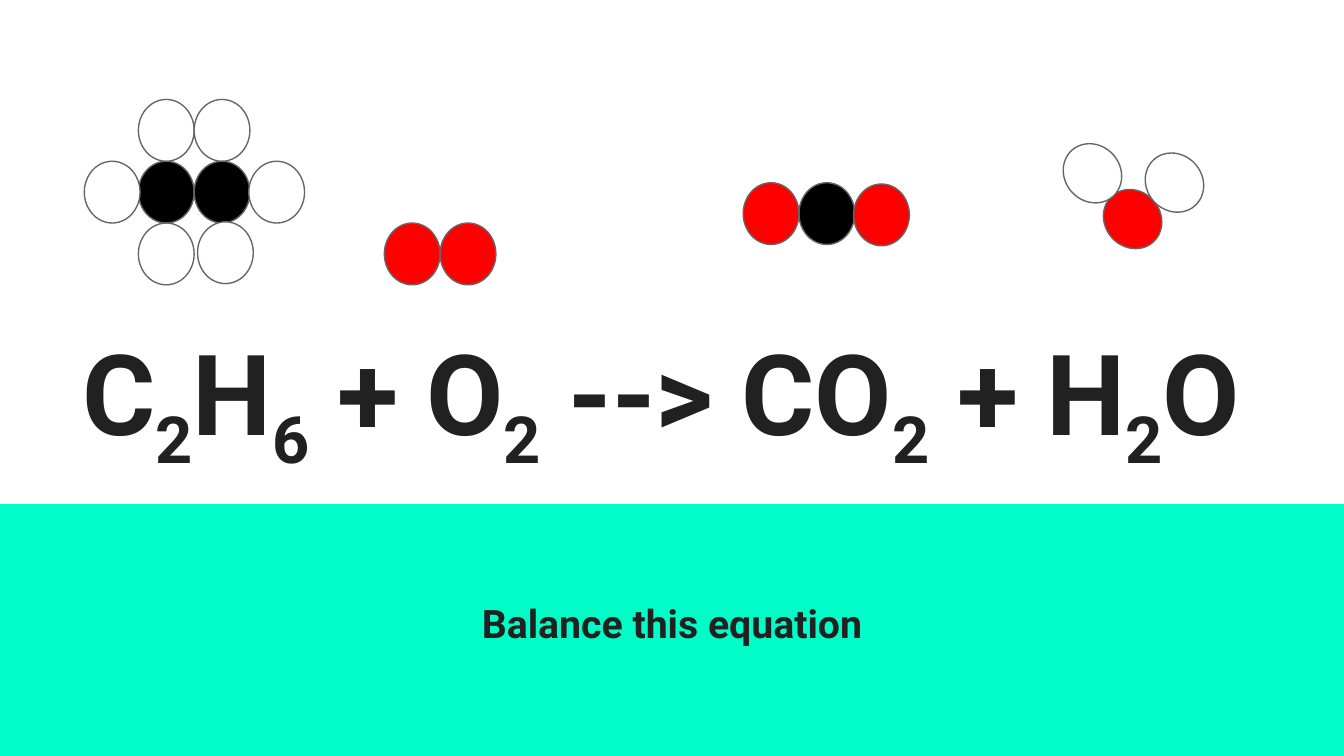
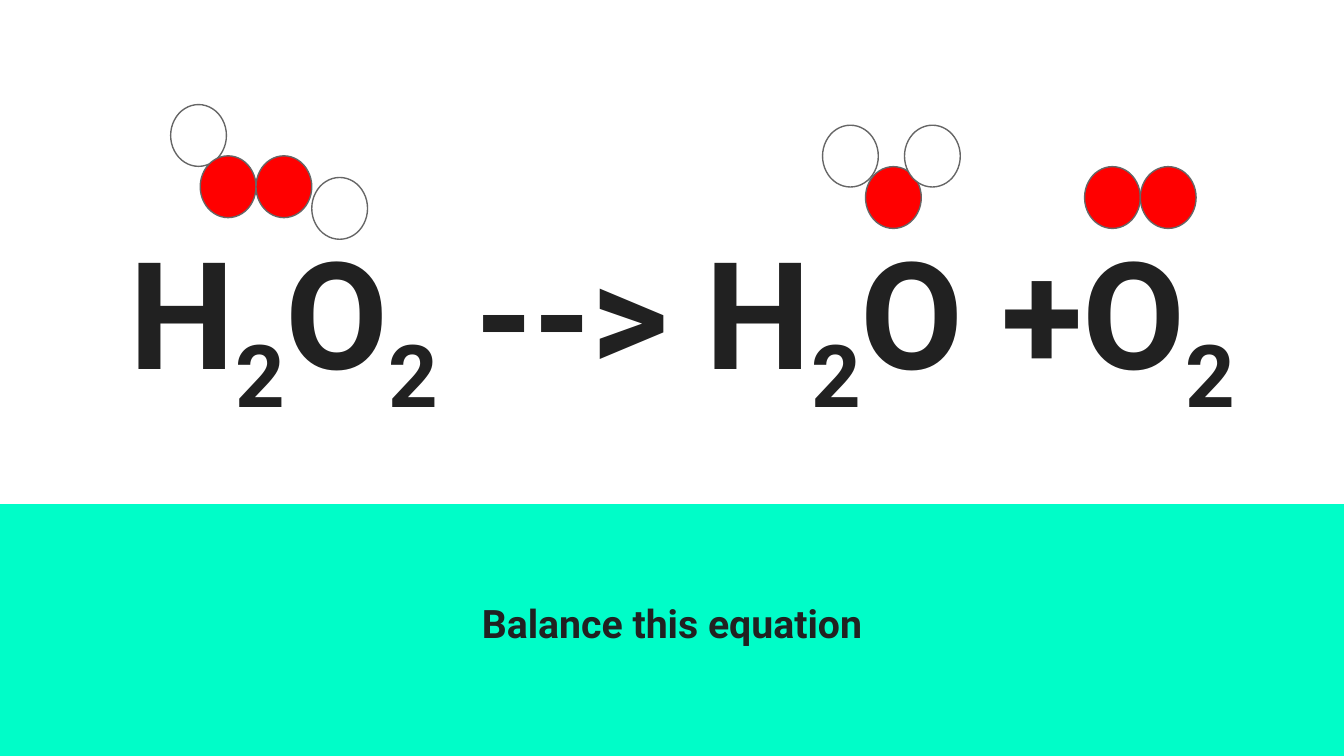
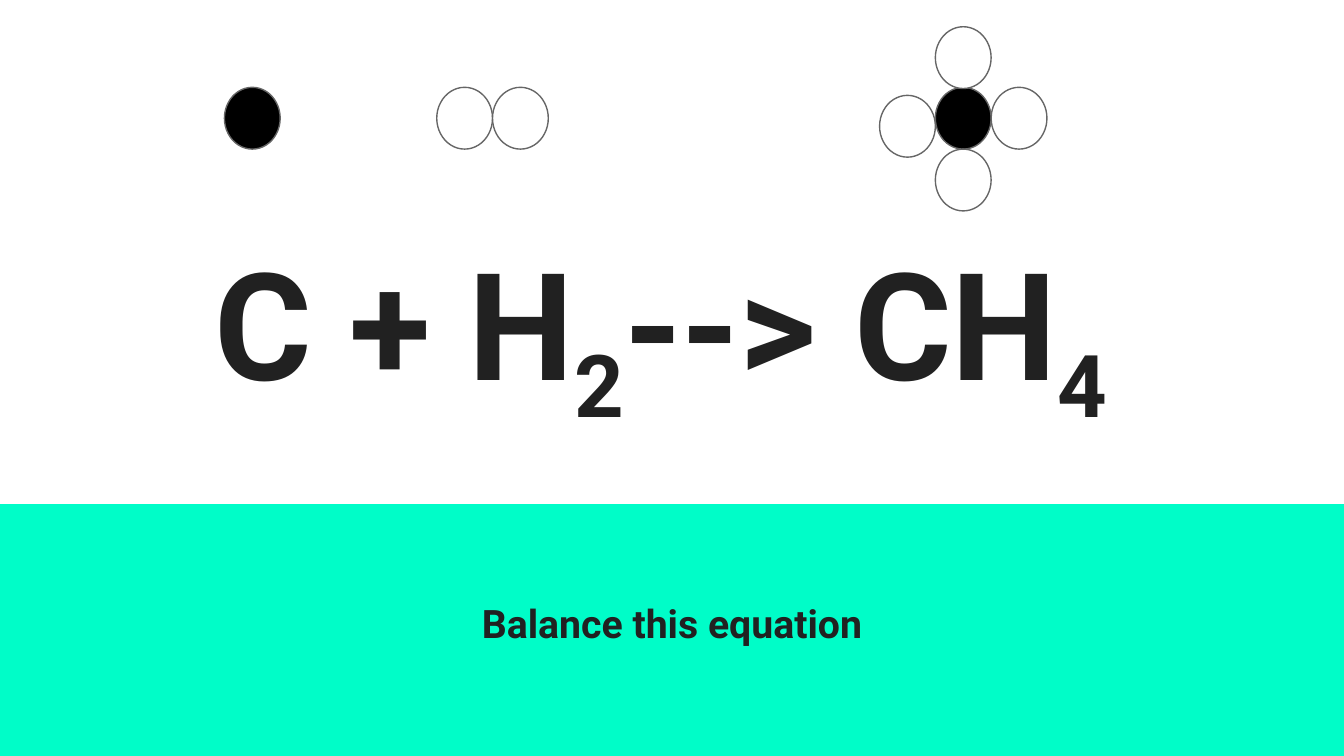
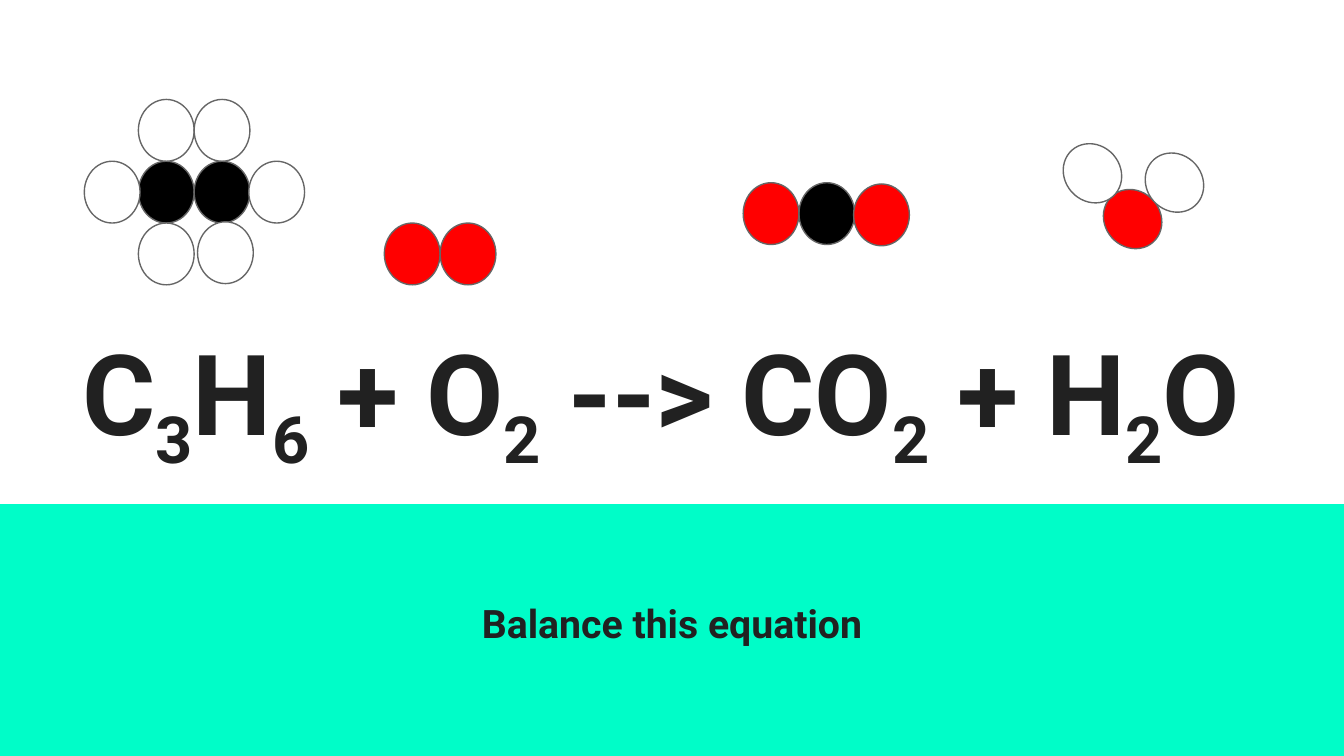
from itertools import groupby

from pptx import Presentation
from pptx.dml.color import RGBColor
from pptx.enum.shapes import MSO_SHAPE
from pptx.enum.text import MSO_ANCHOR, PP_ALIGN
from pptx.util import Inches, Pt

COLORS = {
    "background": "00FDC8",
    "band": "FFFFFF",
    "ink": "212121",
    "outline": "666666",
    "C": "000000",
    "H": "FFFFFF",
    "O": "FF0000",
}
FONT = "Roboto"
PROMPT = "Balance this equation"

# The slide is a grid of 100 columns by 56.25 rows
CELL = Inches(0.1)
COLUMNS, ROWS = 100, 56.25
ATOM_WIDTH, ATOM_HEIGHT = 4.15, 4.6

# Atoms of each molecule: element, then steps right and down in atom sizes
ETHANE = [("C", 0, 0), ("C", 1, 0), ("H", 0, -1), ("H", 1, -1), ("H", 1.98, 0),
          ("H", 1.06, 0.98), ("H", -0.97, 0), ("H", 0, 1)]
OXYGEN = [("O", 0, 0), ("O", 1, 0)]
HYDROGEN = [("H", 0, 0), ("H", 1, 0)]
CARBON = [("C", 0, 0)]
CARBON_DIOXIDE = [("C", 1, 0), ("O", 0, 0), ("O", 1.98, 0.02)]
WATER = [("O", 0, 0), ("H", -0.77, -0.67), ("H", 0.7, -0.67)]
TILTED_WATER = [("O", 0, 0), ("H", 0.75, -0.59), ("H", -0.72, -0.74)]
PEROXIDE = [("H", 2, 0.35), ("H", -0.53, -0.83), ("O", 0, 0), ("O", 1, 0)]
METHANE = [("C", 0, 0), ("H", 0, 1), ("H", -1, 0.13), ("H", 1, 0), ("H", 0, -0.98)]

# Molecules on a slide: atoms, column and row of the atom at step 0, rotation
COMBUSTION = [
    (OXYGEN, 28.6, 16.6, 0),
    (ETHANE, 10.3, 12, 0),
    (CARBON_DIOXIDE, 55.3, 13.6, 0),
    (TILTED_WATER, 82.2, 14, 318.5),
]
DECOMPOSITION = [
    (PEROXIDE, 14.9, 11.6, 0),
    (OXYGEN, 80.7, 12.4, 0),
    (WATER, 64.4, 12.4, 0),
]
SYNTHESIS = [
    (CARBON, 16.7, 6.5, 0),
    (HYDROGEN, 32.5, 6.5, 0),
    (METHANE, 69.6, 6.5, 0),
]

# Slides: equation, its size, its box in columns and rows, molecules
LOW_BOX = (2.6, 23.6, 93.2, 12.3)
EXERCISES = [
    ("C2H6 + O2 --> CO2 + H2O", 60, LOW_BOX, COMBUSTION),
    ("H2O2 --> H2O +O2", 80, (4.2, 9.3, 93.2, 29.4), DECOMPOSITION),
    ("C + H2--> CH4", 80, (2.6, 10.1, 93.2, 29.4), SYNTHESIS),
    ("C3H6 + O2 --> CO2 + H2O", 60, LOW_BOX, COMBUSTION),
]


def cells(*lengths):
    return [round(length * CELL) for length in lengths]


def color(name):
    return RGBColor.from_string(COLORS[name])


def write(paragraph, text, size, subscripts=False):
    """Write text in the shared style; digits may be lowered as subscripts."""
    paragraph.alignment = PP_ALIGN.CENTER
    for is_number, letters in groupby(text, key=str.isdigit):
        run = paragraph.add_run()
        run.text = "".join(letters)
        run.font.name = FONT
        run.font.size = Pt(size)
        run.font.bold = True
        run.font.color.rgb = color("ink")
        if subscripts and is_number:
            run.font._element.set("baseline", "-25000")


class Deck:
    def __init__(self):
        self.presentation = Presentation()
        self.presentation.slide_width, self.presentation.slide_height = cells(COLUMNS, ROWS)
        self.slide = None

    def add_slide(self):
        blank = self.presentation.slide_layouts[6]
        self.slide = self.presentation.slides.add_slide(blank)
        fill = self.slide.background.fill
        fill.solid()
        fill.fore_color.rgb = color("background")
        self.shape(self.slide.shapes, MSO_SHAPE.RECTANGLE, "band",
                   (0, 0, COLUMNS, ROWS * 2 / 3))

    def shape(self, parent, preset, fill, box, outline=None):
        shape = parent.add_shape(preset, *cells(*box))
        shape.shadow.inherit = False
        shape.fill.solid()
        shape.fill.fore_color.rgb = color(fill)
        if outline:
            shape.line.color.rgb = color(outline)
            shape.line.width = Pt(0.75)
        else:
            shape.line.fill.background()
        return shape

    def text(self, text, size, box, subscripts=False):
        frame = self.slide.shapes.add_textbox(*cells(*box)).text_frame
        frame.word_wrap = True
        frame.vertical_anchor = MSO_ANCHOR.MIDDLE
        frame.margin_left = frame.margin_right = CELL
        frame.margin_top = frame.margin_bottom = CELL
        write(frame.paragraphs[0], text, size=size, subscripts=subscripts)

    def molecule(self, atoms, column, row, rotation):
        parent = self.slide.shapes
        if len(atoms) > 1:
            parent = parent.add_group_shape().shapes
        for element, right, down in atoms:
            box = (column + right * ATOM_WIDTH, row + down * ATOM_HEIGHT,
                   ATOM_WIDTH, ATOM_HEIGHT)
            atom = self.shape(parent, MSO_SHAPE.OVAL, element, box, outline="outline")
            atom.rotation = rotation


def main():
    deck = Deck()
    for equation, size, box, molecules in EXERCISES:
        deck.add_slide()
        # Equation and prompt
        deck.text(equation, size, box, subscripts=True)
        deck.text(PROMPT, 21, (3.4, 42.5, 93.2, 7.7))
        # Molecule models
        for molecule in molecules:
            deck.molecule(*molecule)
    deck.presentation.save("out.pptx")


if __name__ == "__main__":
    main()
